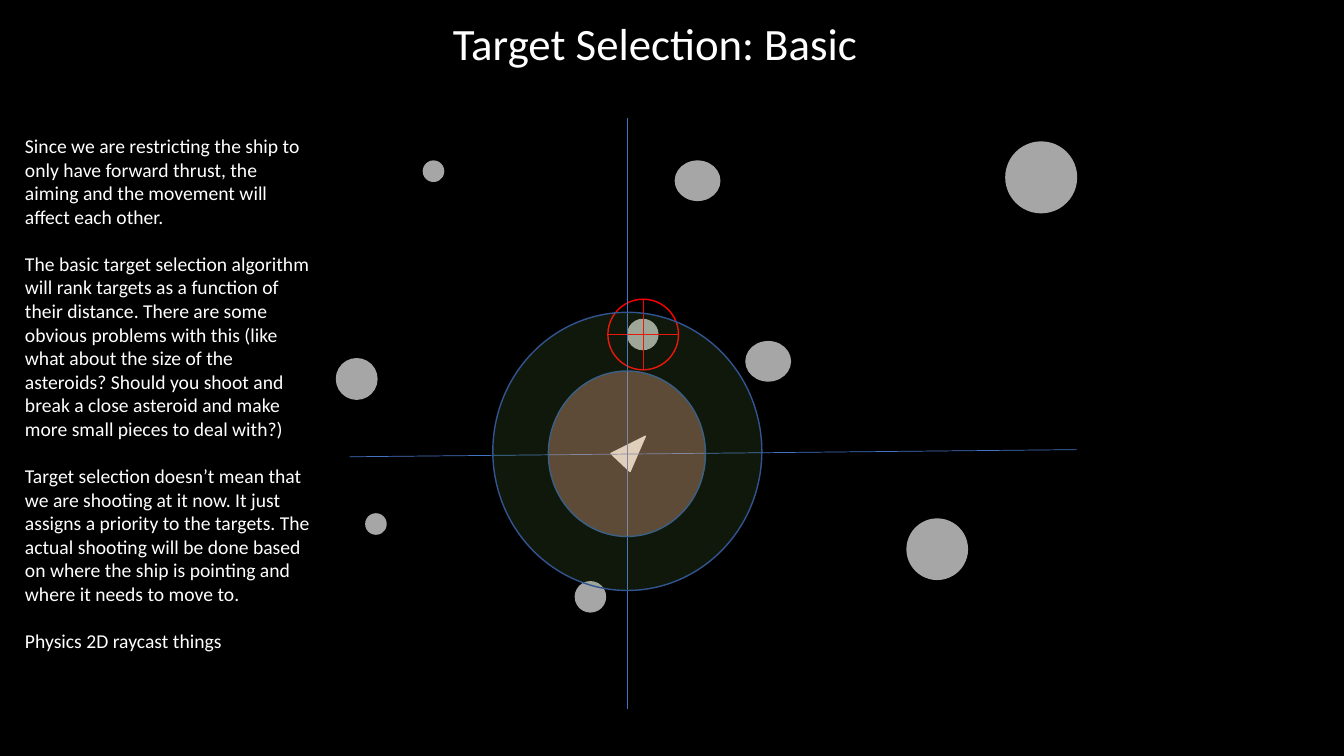
from lxml import etree
from pptx import Presentation
from pptx.dml.color import RGBColor
from pptx.enum.shapes import MSO_CONNECTOR, MSO_SHAPE
from pptx.enum.text import MSO_AUTO_SIZE, PP_ALIGN
from pptx.oxml.ns import qn
from pptx.util import Cm, Pt

OVAL = MSO_SHAPE.OVAL
TRIANGLE = MSO_SHAPE.ISOSCELES_TRIANGLE
STRAIGHT = MSO_CONNECTOR.STRAIGHT
LEFT, CENTER = PP_ALIGN.LEFT, PP_ALIGN.CENTER
GROW = MSO_AUTO_SIZE.SHAPE_TO_FIT_TEXT

color = RGBColor.from_string
WHITE, GREY, RED, BLUE, NAVY = "FFFFFF", "A6A6A6", "FF0000", "4472C4", "325491"


def draw_shape(shapes, kind, box, fill, outline, opacity=100):
    """Add a preset shape; box is left, top, width, height in cm."""
    shape = shapes.add_shape(kind, *map(Cm, box))
    shape.shadow.inherit = False
    shape.line.color.rgb = color(outline)
    shape.line.width = Pt(1)
    if fill is None:
        shape.fill.background()
        return shape
    shape.fill.solid()
    shape.fill.fore_color.rgb = color(fill)
    if opacity < 100:
        fill_color = shape.fill._xPr.find(qn("a:solidFill"))[0]
        etree.SubElement(fill_color, qn("a:alpha")).set("val", str(opacity * 1000))
    return shape


def draw_line(shapes, ends, line_color):
    """Add a thin straight line; ends is x1, y1, x2, y2 in cm."""
    line = shapes.add_connector(STRAIGHT, *map(Cm, ends))
    line.line.color.rgb = color(line_color)
    line.line.width = Pt(0.5)
    etree.SubElement(line._element.spPr, qn("a:effectLst"))


presentation = Presentation()
presentation.slide_width, presentation.slide_height = Cm(33.87), Cm(19.05)
slide = presentation.slides.add_slide(presentation.slide_layouts[6])
slide.background.fill.solid()
slide.background.fill.fore_color.rgb = color("000000")

# Ship and asteroids
ship = draw_shape(slide.shapes, TRIANGLE, (15.62, 10.87, 0.66, 0.91), WHITE, WHITE)
ship.rotation = 43.4

asteroids = [
    (18.8, 8.61, 1.12, 0.99),
    (14.5, 14.66, 0.76, 0.76),
    (15.82, 8.05, 0.76, 0.76),
    (22.86, 13.08, 1.52, 1.52),
    (10.67, 4.06, 0.51, 0.51),
    (8.48, 9.04, 1.02, 1.02),
    (17.02, 4.06, 1.12, 0.99),
    (9.22, 12.95, 0.51, 0.51),
    (25.35, 3.58, 1.78, 1.78),
]
for asteroid in asteroids:
    draw_shape(slide.shapes, OVAL, asteroid, GREY, GREY)

# Crosshair on the selected target
center_x, center_y, radius = 16.21, 8.43, 0.89
left, top = center_x - radius, center_y - radius
right, bottom = center_x + radius, center_y + radius
crosshair = slide.shapes.add_group_shape()
draw_shape(crosshair.shapes, OVAL, (left, top, 2 * radius, 2 * radius), None, RED)
draw_line(crosshair.shapes, (center_x, top, center_x, bottom), RED)
draw_line(crosshair.shapes, (left, center_y, right, center_y), RED)

# Title and explanation
explanation = [
    "Since we are restricting the ship to only have forward thrust, the aiming "
    "and the movement will affect each other. ",
    "The basic target selection algorithm will rank targets as a function of "
    "their distance. There are some obvious problems with this (like what about "
    "the size of the asteroids? Should you shoot and break a close asteroid and "
    "make more small pieces to deal with?)",
    "Target selection doesn’t mean that we are shooting at it now. It just "
    "assigns a priority to the targets. The actual shooting will be done based "
    "on where the ship is pointing and where it needs to move to.",
    "Physics 2D raycast things",
]
text_blocks = [
    ((11.1, 0.28, 10.82, 1.63), ["Target Selection: Basic"], 32, CENTER, False),
    ((0.38, 3.25, 7.77, 13.84), explanation, 14, LEFT, True),
]
for box, texts, size, alignment, wrap in text_blocks:
    frame = slide.shapes.add_textbox(*map(Cm, box)).text_frame
    frame.word_wrap = wrap
    frame.auto_size = GROW
    for index, text in enumerate(texts):
        paragraph = frame.add_paragraph() if index else frame.paragraphs[0]
        paragraph.alignment = alignment
        paragraph.space_before = Pt(17 if index else 0)
        run = paragraph.add_run()
        run.text = text
        run.font.name = "Calibri"
        run.font.size = Pt(size)
        run.font.color.rgb = color(WHITE)

# Axes through the ship, then the inner and outer range
draw_line(slide.shapes, (15.82, 2.97, 15.82, 17.86), BLUE)
draw_line(slide.shapes, (27.13, 11.33, 8.81, 11.51), BLUE)
draw_shape(slide.shapes, OVAL, (13.82, 9.35, 3.96, 4.17), "E39689", NAVY, 40)
draw_shape(slide.shapes, OVAL, (12.42, 7.87, 6.78, 7.01), "70AD47", NAVY, 14)

presentation.save("out.pptx")
